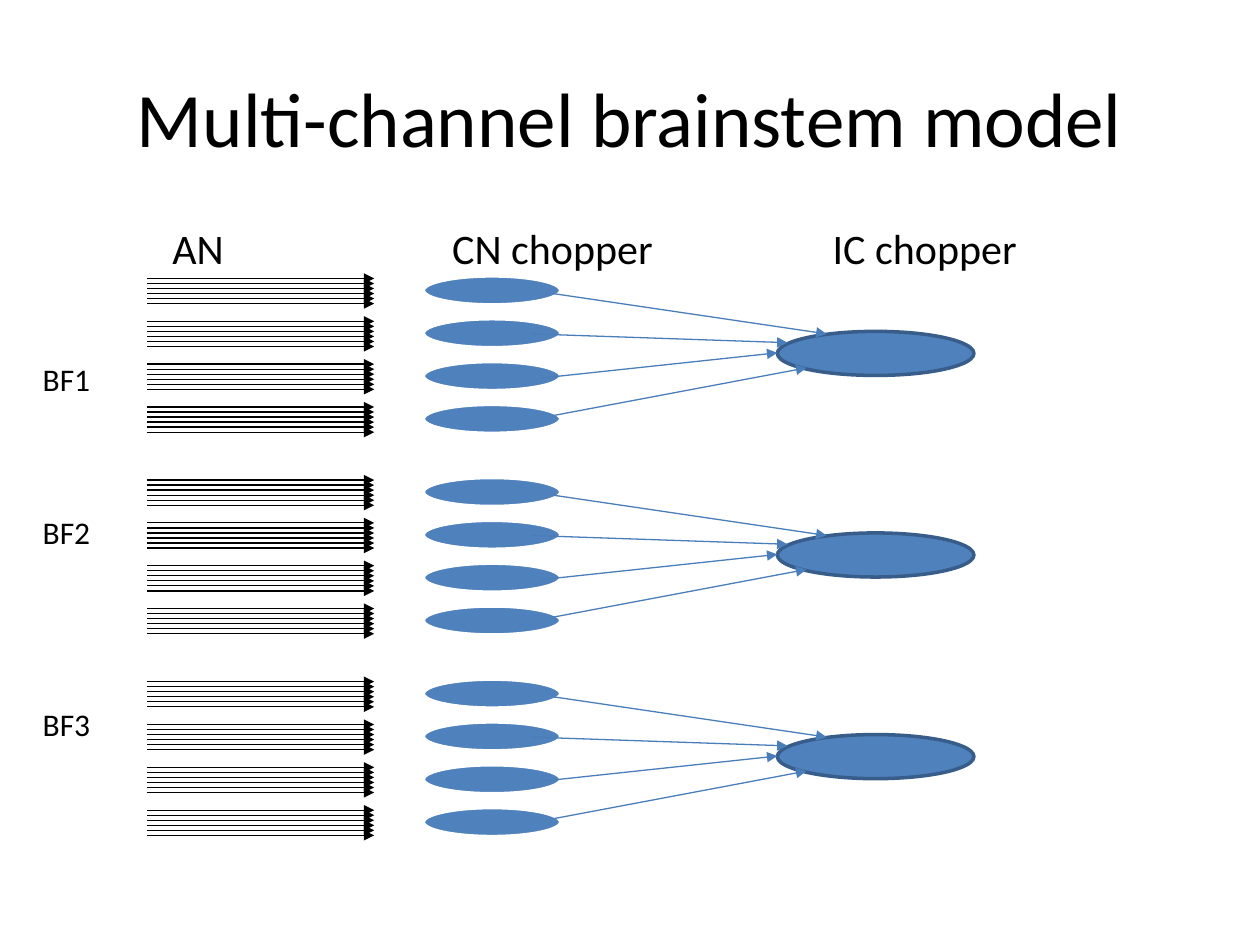
from dataclasses import dataclass

from lxml.etree import SubElement
from pptx import Presentation
from pptx.dml.color import RGBColor
from pptx.enum.shapes import MSO_CONNECTOR, MSO_SHAPE
from pptx.enum.text import MSO_ANCHOR, PP_ALIGN
from pptx.oxml.ns import qn
from pptx.shapes.group import GroupShape
from pptx.slide import Slide
from pptx.util import Inches, Pt

BLACK, WHITE = "000000", "FFFFFF"
CELL_FILL, CELL_EDGE, LINK_COLOUR = "4F81BD", "385D8A", "4A7EBB"

CHANNEL_TOP, CHANNEL_PITCH, CHANNELS = 2.19, 1.6, 3
ROW_PITCH, ROWS = 0.34, 4
FIBRE_OFFSET, FIBRE_PITCH, FIBRES = 0.02, 0.04, 6
FIBRE_LEFT, FIBRE_RIGHT = 1.17, 2.97


@dataclass
class Arrow:
    x1: float
    y1: float
    x2: float
    y2: float
    colour: str


@dataclass
class Cell:
    left: float
    top: float
    width: float
    height: float
    edge: str


@dataclass
class Label:
    left: float
    top: float
    width: float
    height: float
    lines: list[str]
    size: int
    gaps: tuple[float, ...] = (0,)
    tabs: tuple[float, ...] = ()
    wrap: bool = True
    align: PP_ALIGN = PP_ALIGN.LEFT
    anchor: MSO_ANCHOR = MSO_ANCHOR.TOP


# Chopper links, with heights measured from the top of their channel
LINKS = [
    Arrow(4.22, 0.46, 6.25, 0.53, LINK_COLOUR),
    Arrow(4.3, 0.81, 6.17, 0.61, LINK_COLOUR),
    Arrow(4.38, 1.11, 6.4, 0.73, LINK_COLOUR),
    Arrow(4.39, 0.14, 6.56, 0.46, LINK_COLOUR),
]

LABELS = [
    Label(0.5, 0.3, 9, 1.25, ["Multi-channel brainstem model"], 44,
          align=PP_ALIGN.CENTER, anchor=MSO_ANCHOR.MIDDLE),
    Label(0.24, 2.81, 0.58, 3.1, ["BF1", "BF2", "BF3"], 18,
          gaps=(0, 66, 88), wrap=False),
    Label(1.27, 1.72, 6.9, 0.5, ["AN\tCN chopper\tIC chopper"], 24, tabs=(2.22, 5.24)),
]


def colour(value: str) -> RGBColor:
    return RGBColor.from_string(value)


def draw_arrow(group: GroupShape, arrow: Arrow, top: float = 0) -> None:
    connector = group.shapes.add_connector(
        MSO_CONNECTOR.STRAIGHT, Inches(arrow.x1), Inches(top + arrow.y1),
        Inches(arrow.x2), Inches(top + arrow.y2))
    connector.line.color.rgb = colour(arrow.colour)
    connector.line.width = Pt(0.75)
    SubElement(connector.line._get_or_add_ln(), qn("a:tailEnd"), type="triangle")
    SubElement(connector._element.spPr, qn("a:effectLst"))


def draw_cell(group: GroupShape, cell: Cell) -> None:
    oval = group.shapes.add_shape(
        MSO_SHAPE.OVAL, Inches(cell.left), Inches(cell.top),
        Inches(cell.width), Inches(cell.height))
    oval.shadow.inherit = False
    oval.fill.solid()
    oval.fill.fore_color.rgb = colour(CELL_FILL)
    oval.line.color.rgb = colour(cell.edge)
    oval.line.width = Pt(2)


def draw_channel(page: Slide, top: float) -> None:
    group = page.shapes.add_group_shape()
    # Nerve fibres and the CN chopper of each row
    for row in range(ROWS):
        row_top = top + row * ROW_PITCH
        for fibre in range(FIBRES):
            y = row_top + FIBRE_OFFSET + fibre * FIBRE_PITCH
            draw_arrow(group, Arrow(FIBRE_LEFT, y, FIBRE_RIGHT, y, BLACK))
        draw_cell(group, Cell(3.36, row_top, 1.09, 0.23, WHITE))
    # IC chopper and the links that reach it
    draw_cell(group, Cell(6.17, top + 0.44, 1.56, 0.35, CELL_EDGE))
    for link in LINKS:
        draw_arrow(group, link, top)


def draw_label(page: Slide, label: Label) -> None:
    box = page.shapes.add_textbox(
        Inches(label.left), Inches(label.top), Inches(label.width), Inches(label.height))
    frame = box.text_frame
    frame.word_wrap = label.wrap
    frame.vertical_anchor = label.anchor
    for index, (line, gap) in enumerate(zip(label.lines, label.gaps)):
        para = frame.add_paragraph() if index else frame.paragraphs[0]
        para.alignment = label.align
        para.space_before = Pt(gap)
        if label.tabs:
            tab_list = SubElement(para._p.get_or_add_pPr(), qn("a:tabLst"))
            for stop in label.tabs:
                SubElement(tab_list, qn("a:tab"), pos=str(Inches(stop)), algn="l")
        span = para.add_run()
        span.text = line
        for name, value in {"name": "Calibri", "size": Pt(label.size)}.items():
            setattr(span.font, name, value)
        span.font.color.rgb = colour(BLACK)


def main() -> None:
    deck = Presentation()
    deck.slide_width, deck.slide_height = Inches(10), Inches(7.5)
    page = deck.slides.add_slide(deck.slide_layouts[6])
    for channel in range(CHANNELS):
        draw_channel(page, CHANNEL_TOP + channel * CHANNEL_PITCH)
    for label in LABELS:
        draw_label(page, label)
    deck.save("out.pptx")


if __name__ == "__main__":
    main()
